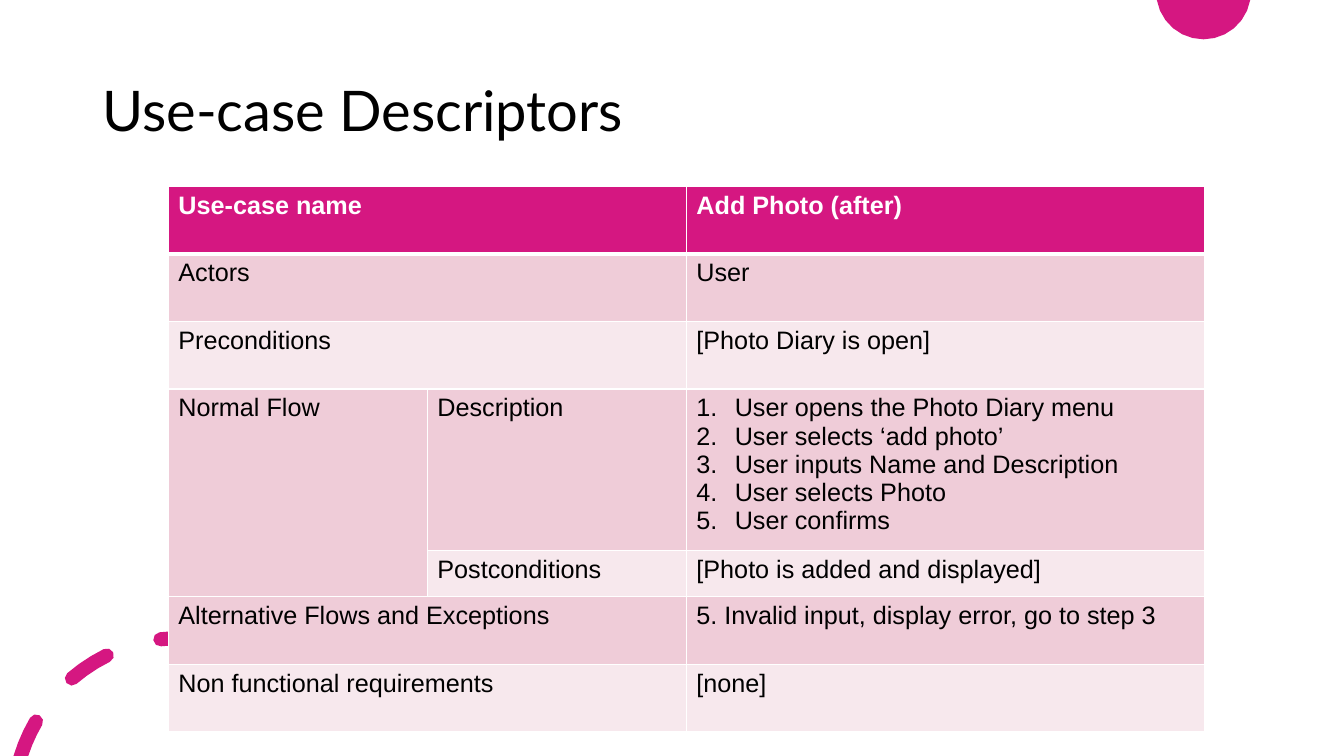
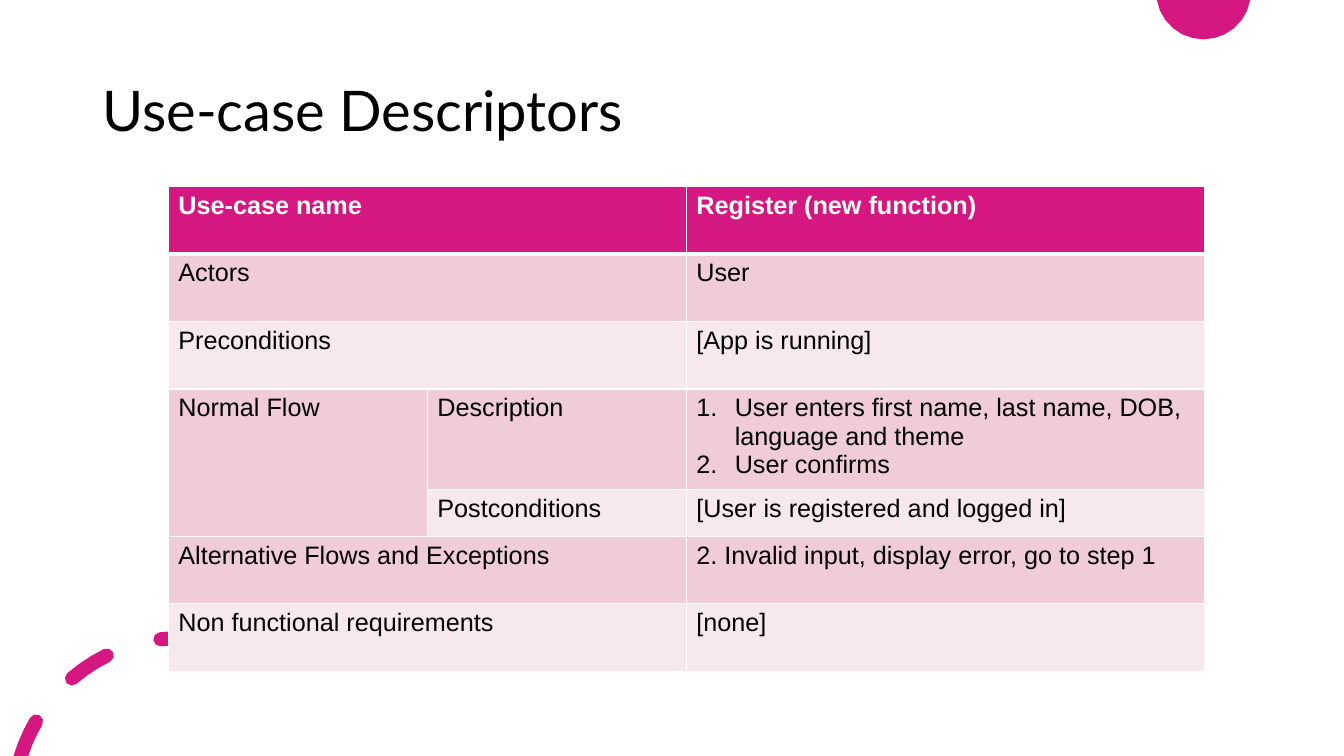
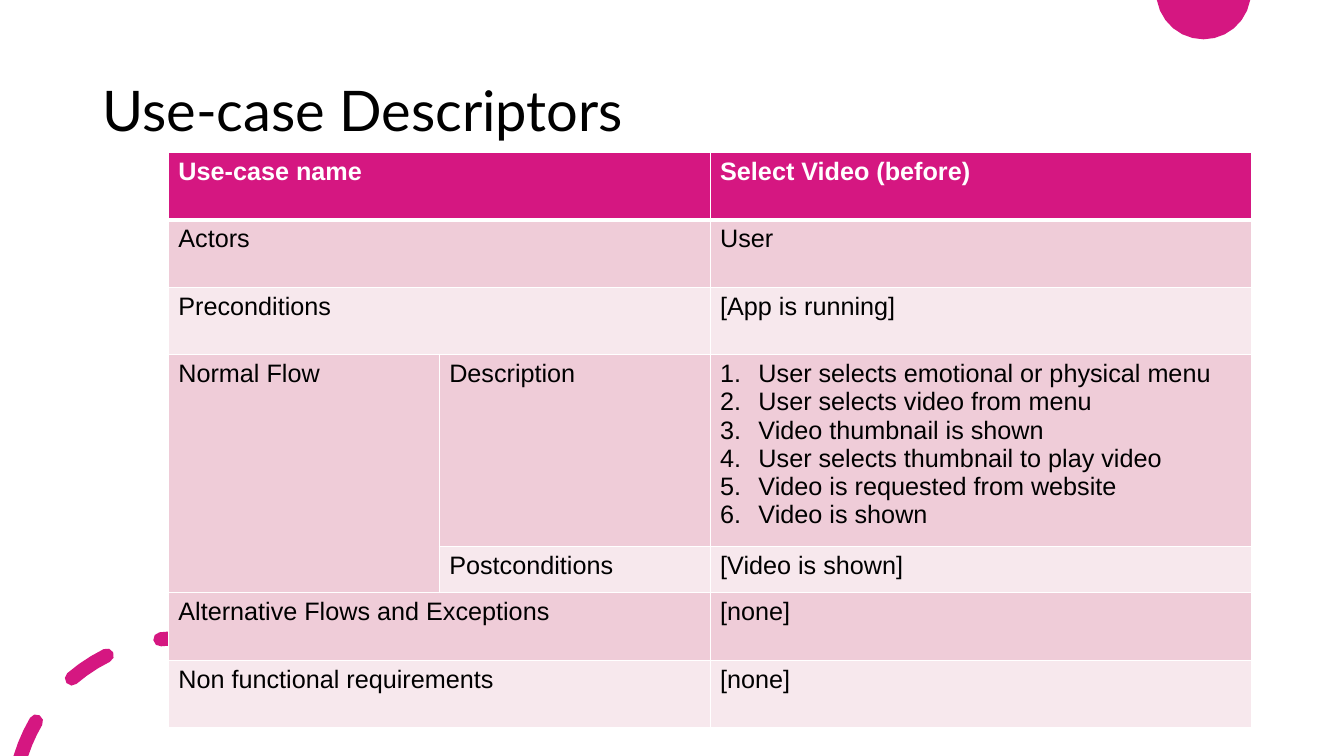
import math

from lxml import etree
from pptx import Presentation
from pptx.dml.color import RGBColor
from pptx.enum import text
from pptx.oxml import ns
from pptx.util import Inches, Pt

# Shared look
PINK, ROSE, BLUSH = "D51781", "EFCCD8", "F7E8ED"
WHITE, BLACK = "FFFFFF", "000000"
TITLE_FONT, BODY_FONT = "Lato", "Arial"
SLIDE_W, SLIDE_H = 40 / 3, 7.5

# Row labels: main column, sub column
LABELS = [
    ("Use-case name", None),
    ("Actors", None),
    ("Preconditions", None),
    ("Normal Flow", "Description"),
    (None, "Postconditions"),
    ("Alternative Flows and Exceptions", None),
    ("Non functional requirements", None),
]
ROW_HEIGHTS = [0.67, 0.67, 0.67, 0.46, 0.46, 0.67, 0.67]
FLOW_ROW = 3

# Table box (left, top, width, height) and values by row;
# the flow row grows with its steps
USE_CASES = [
    ((1.67, 1.85, 10.28, 5.42), [
        "Add Photo (after)",
        "User",
        "[Photo Diary is open]",
        ["User opens the Photo Diary menu", "User selects ‘add photo’",
         "User inputs Name and Description", "User selects Photo",
         "User confirms"],
        "[Photo is added and displayed]",
        "5. Invalid input, display error, go to step 3",
        "[none]",
    ]),
    ((1.67, 1.85, 10.28, 4.82), [
        "Register (new function)",
        "User",
        "[App is running]",
        ["User enters first name, last name, DOB, language and theme",
         "User confirms"],
        "[User is registered and logged in]",
        "2. Invalid input, display error, go to step 1",
        "[none]",
    ]),
    ((1.67, 1.51, 10.75, 5.72), [
        "Select Video (before)",
        "User",
        "[App is running]",
        ["User selects emotional or physical menu",
         "User selects video from menu", "Video thumbnail is shown",
         "User selects thumbnail to play video",
         "Video is requested from website", "Video is shown"],
        "[Video is shown]",
        "[none]",
        "[none]",
    ]),
]


def rgb(hex_color):
    return RGBColor.from_string(hex_color)


def style_font(font, name, size, color, bold=False):
    font.name, font.size, font.bold = name, Pt(size), bold
    font.color.rgb = rgb(color)


def arc(cx, cy, radius, start, stop, steps=3):
    """Points on an arc; degrees run clockwise from the left."""
    angles = [math.radians(start + (stop - start) * i / steps)
              for i in range(steps + 1)]
    return [(cx - radius * math.cos(a), cy - radius * math.sin(a))
            for a in angles]


def draw_outlines(slide, outlines):
    points = [[(Inches(x), Inches(y)) for x, y in line] for line in outlines]
    builder = slide.shapes.build_freeform(*points[0][0], scale=1.0)
    for i, line in enumerate(points):
        if i:
            builder.move_to(*line[0])
        builder.add_line_segments(line[1:], close=True)
    shape = builder.convert_to_shape()
    shape.shadow.inherit = False
    shape.fill.solid()
    shape.fill.fore_color.rgb = rgb(PINK)
    shape.line.fill.background()


def add_corner_disc(slide, cx=11.94, cy=-0.08, radius=0.47):
    edge = math.degrees(math.asin(cy / radius))
    draw_outlines(slide, [arc(cx, cy, radius, edge, -180 - edge, 12)])


def add_dashed_ring(slide, cx=1.8, cy=8.0, radius=1.67, half=0.07):
    outer, inner = radius + half, radius - half

    def round_cap(angle, turn):
        x, y = arc(cx, cy, radius, angle, angle, 1)[0]
        # The ends of the cap already belong to the long arcs
        return arc(x, y, half, angle + turn, angle + turn + 180, 4)[1:-1]

    def bottom_cut(r):
        return math.degrees(math.asin((cy - SLIDE_H) / r))

    # First dash is cut by the slide edge, the others have two round ends
    dashes = [arc(cx, cy, outer, bottom_cut(outer), 30.3) + round_cap(30.3, 0)
              + arc(cx, cy, inner, 30.3, bottom_cut(inner))]
    for start, stop in ((49.4, 63.7), (82.8, 97.2)):
        dashes.append(arc(cx, cy, outer, start, stop) + round_cap(stop, 0)
                      + arc(cx, cy, inner, stop, start)
                      + round_cap(start, 180))
    draw_outlines(slide, dashes)


def add_title(slide, wording):
    box = slide.shapes.add_textbox(Inches(0.92), Inches(0.4),
                                   Inches(11.5), Inches(1.45))
    frame = box.text_frame
    frame.word_wrap = True
    frame.vertical_anchor = text.MSO_ANCHOR.MIDDLE
    frame.text = wording
    frame.paragraphs[0].line_spacing = 0.9
    style_font(frame.paragraphs[0].runs[0].font, TITLE_FONT, 40, BLACK)


def number_paragraph(paragraph):
    props = paragraph._p.get_or_add_pPr()
    props.set("marL", str(Inches(0.38)))
    props.set("indent", str(-Inches(0.38)))
    etree.SubElement(props, ns.qn("a:buAutoNum"), type="arabicPeriod")


def style_cell(cell, row):
    # Borders come before the fill in the cell properties
    props = cell._tc.get_or_add_tcPr()
    thick = {(0, "lnB"), (1, "lnT")}
    for side in ("lnL", "lnR", "lnT", "lnB"):
        width = Pt(3 if (row, side) in thick else 1)
        line = etree.SubElement(props, ns.qn("a:" + side), w=str(width))
        fill = etree.SubElement(line, ns.qn("a:solidFill"))
        etree.SubElement(fill, ns.qn("a:srgbClr"), val=WHITE)
    cell.fill.solid()
    cell.fill.fore_color.rgb = rgb(
        PINK if row == 0 else ROSE if row % 2 else BLUSH)


def fill_cell(cell, content, header):
    steps = content if isinstance(content, list) else None
    cell.text_frame.text = "\n".join(steps) if steps else content
    for paragraph in cell.text_frame.paragraphs:
        if steps:
            number_paragraph(paragraph)
        style_font(paragraph.runs[0].font, BODY_FONT, 18,
                   WHITE if header else BLACK, header)


def add_use_case_table(slide, box, values):
    left, top, width, height = (Inches(length) for length in box)
    frame = slide.shapes.add_table(len(LABELS), 3, left, top, width, height)
    table = frame.table
    table.horz_banding = False
    for column, parts in zip(table.columns, (1, 1, 2)):
        column.width = width * parts // 4
    for r, (label, value) in enumerate(zip(LABELS, values)):
        table.rows[r].height = Inches(ROW_HEIGHTS[r])
        for c, content in enumerate((*label, value)):
            cell = table.cell(r, c)
            style_cell(cell, r)
            if content:
                fill_cell(cell, content, r == 0)
        if label[1] is None:
            table.cell(r, 0).merge(table.cell(r, 1))
    table.cell(FLOW_ROW, 0).merge(table.cell(FLOW_ROW + 1, 0))
    # Row heights reset the frame, so its height is set last
    frame.height = height


def add_use_case_slide(prs, box, values):
    slide = prs.slides.add_slide(prs.slide_layouts[6])
    add_corner_disc(slide)
    add_dashed_ring(slide)
    add_title(slide, "Use-case Descriptors")
    add_use_case_table(slide, box, values)


def main():
    prs = Presentation()
    prs.slide_width, prs.slide_height = Inches(SLIDE_W), Inches(SLIDE_H)
    for use_case in USE_CASES:
        add_use_case_slide(prs, *use_case)
    prs.save("out.pptx")


if __name__ == "__main__":
    main()
